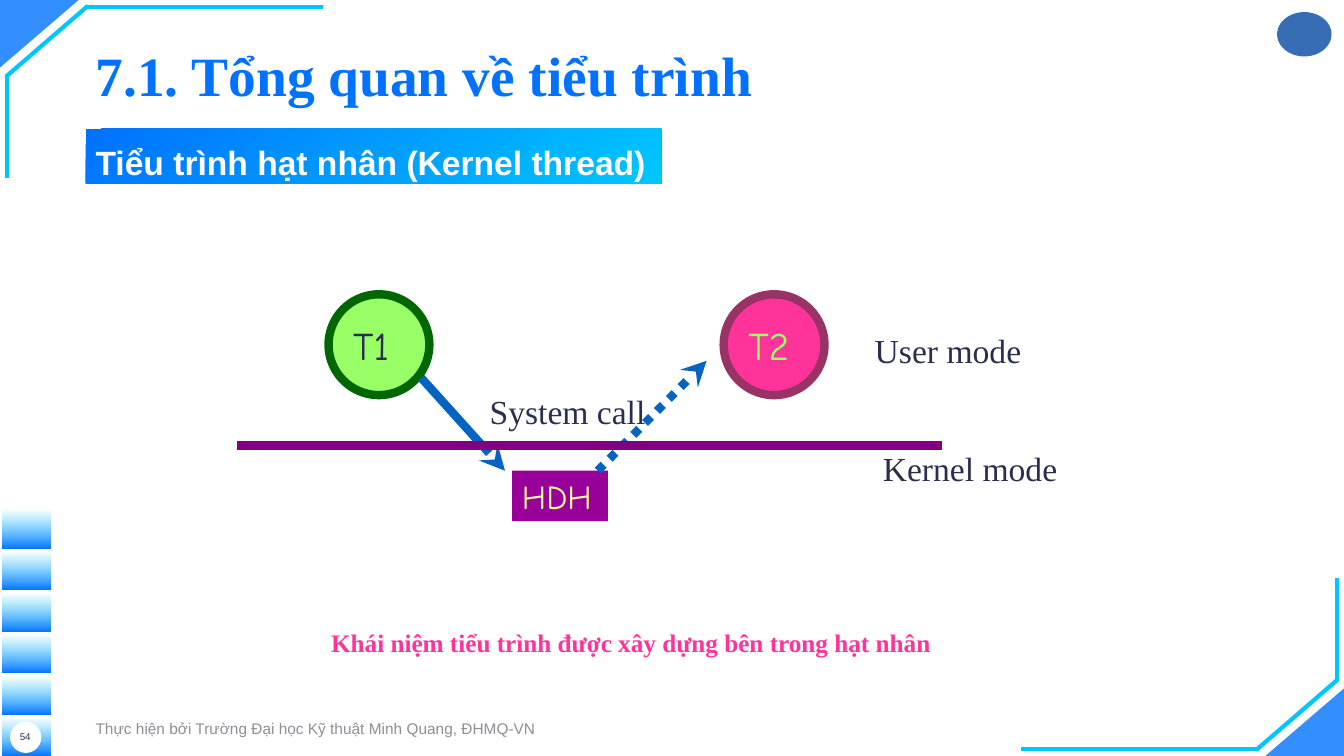
from collections import namedtuple

from lxml.etree import SubElement
from pptx import Presentation
from pptx.dml.color import RGBColor
from pptx.enum.dml import MSO_LINE
from pptx.enum.shapes import MSO_CONNECTOR, MSO_SHAPE
from pptx.enum.text import MSO_ANCHOR, MSO_AUTO_SIZE, PP_ALIGN
from pptx.oxml.ns import qn
from pptx.util import Inches, Pt

CELL = Inches(1) // 3
COLUMNS, ROWS = 40, 22.5

BLUE = RGBColor(0x00, 0x72, 0xFF)
CYAN = RGBColor(0x00, 0xC6, 0xFF)
ARROW_BLUE = RGBColor(0x05, 0x63, 0xC1)
EMBLEM_BLUE = RGBColor(0x37, 0x6D, 0xB5)
INK = RGBColor(0x2A, 0x2F, 0x4F)
GREY = RGBColor(0x8E, 0x8F, 0x97)
WHITE = RGBColor(0xFF, 0xFF, 0xFF)
PINK = RGBColor(0xFF, 0x33, 0x99)
PLUM = RGBColor(0x99, 0x33, 0x66)
LIME = RGBColor(0x99, 0xFF, 0x66)
GREEN = RGBColor(0x00, 0x66, 0x00)
MAGENTA = RGBColor(0x99, 0x00, 0x99)
PURPLE = RGBColor(0x80, 0x00, 0x80)
CREAM = RGBColor(0xFF, 0xFF, 0x99)

SERIF, SANS, HAND = "Times New Roman", "Arial", "Comic Neue"

Box = namedtuple("Box", "left top width height")


def inside(box, left, top, width, height):
    return Box(box.left + left, box.top + top, width, height)


def emu(cells):
    return round(cells * CELL)


def set_alpha(color_element, percent):
    SubElement(color_element, qn("a:alpha")).set("val", str(percent * 1000))


def paint_gradient(fill, angle):
    fill.gradient()
    fill.gradient_angle = angle
    for stop, color in zip(fill.gradient_stops, (BLUE, CYAN)):
        stop.color.rgb = color


def add_figure(slide, preset, box, color=None, outline=None):
    figure = slide.shapes.add_shape(preset, *map(emu, box))
    figure.shadow.inherit = False
    if color is not None:
        figure.fill.solid()
        figure.fill.fore_color.rgb = color
    if outline is None:
        figure.line.fill.background()
    else:
        figure.line.color.rgb = outline
        figure.line.width = Pt(6)
    return figure


def add_stroke(slide, box, start, end, color, width=6, arrow=False, dash=None):
    points = [emu(corner + offset) for point in (start, end)
              for corner, offset in zip((box.left, box.top), point)]
    stroke = slide.shapes.add_connector(MSO_CONNECTOR.STRAIGHT, *points)
    stroke.line.color.rgb = color
    stroke.line.width = Pt(width)
    if dash:
        stroke.line.dash_style = dash
    if arrow:
        SubElement(stroke.line._ln, qn("a:tailEnd")).set("type", "stealth")
    SubElement(stroke._element.spPr, qn("a:effectLst"))


def write(holder, text, size, font, color=None, bold=False, wrap=False,
          anchor=MSO_ANCHOR.TOP, grow=False, **paragraph_format):
    frame = holder.text_frame
    frame.word_wrap = wrap
    frame.vertical_anchor = anchor
    if grow:
        frame.auto_size = MSO_AUTO_SIZE.SHAPE_TO_FIT_TEXT
    paragraph = frame.paragraphs[0]
    for name, value in {"alignment": PP_ALIGN.LEFT, **paragraph_format}.items():
        setattr(paragraph, name, value)
    run = paragraph.add_run()
    run.text = text
    for name, value in {"size": Pt(size), "name": font, "bold": bold}.items():
        setattr(run.font, name, value)
    if color is None:
        paint_gradient(run.font.fill, 315)
    else:
        run.font.color.rgb = color


def add_label(slide, box, *content, **layout):
    write(slide.shapes.add_textbox(*map(emu, box)), *content, **layout)


def draw_corner(slide, box, mirrored=False):
    def place(x, y):
        return (box.width - x, box.height - y) if mirrored else (x, y)

    width, height = 2.34, 2.01
    left, top = place(width, height) if mirrored else (0, 0)
    wedge = add_figure(slide, MSO_SHAPE.ISOSCELES_TRIANGLE,
                       inside(box, left, top, width, height), BLUE)
    wedge.adjustments[0] = 1
    wedge.rotation = 0 if mirrored else 180
    set_alpha(wedge.fill._xPr.find(qn("a:solidFill"))[0], 80)
    for start, end in (((9.6, 0.2), (2.55, 0.2)),
                       ((2.61, 0.18), (0.18, 2.28)),
                       ((0.2, 5.3), (0.2, 2.22))):
        add_stroke(slide, box, place(*start), place(*end), CYAN, 3)


def draw_page_ladder(slide, box, number):
    steps, step_height = 6, 1.14
    pitch = (box.height - step_height) / (steps - 1)
    for index in range(steps):
        step = add_figure(slide, MSO_SHAPE.RECTANGLE,
                          inside(box, 0, index * pitch, box.width, step_height))
        paint_gradient(step.fill, 90)
        gradient = step.fill._xPr.find(qn("a:gradFill"))
        set_alpha(gradient.findall(qn("a:gsLst") + "/" + qn("a:gs"))[1][0], 0)
    bottom = box.height - step_height
    add_figure(slide, MSO_SHAPE.OVAL, inside(box, 0.24, bottom + 0.12, 0.93, 0.93), WHITE)
    add_label(slide, inside(box, 0.12, bottom, 1.14, 1.14), number, 7, SANS, INK,
              wrap=True, anchor=MSO_ANCHOR.MIDDLE, alignment=PP_ALIGN.CENTER)


def draw_header(slide, box, title, subtitle):
    spacing = {"line_spacing": 1.2, "space_before": Pt(2), "space_after": Pt(2)}
    add_label(slide, inside(box, 0, 0, box.width, 2.58), title, 39.6, SERIF,
              bold=True, wrap=True, anchor=MSO_ANCHOR.MIDDLE, **spacing)
    banner = add_figure(slide, MSO_SHAPE.RECTANGLE, inside(box, 0, 3.12, 17.13, 1.62))
    paint_gradient(banner.fill, 315)
    write(banner, subtitle, 24, SANS, WHITE, bold=True, grow=True, **spacing)


def draw_mode_switch(slide, box):
    for name, left, color, outline, ink in (("T1", 2.73, LIME, GREEN, INK),
                                            ("T2", 14.49, PINK, PLUM, LIME)):
        thread = add_figure(slide, MSO_SHAPE.OVAL, inside(box, left, 0, 3, 3), color, outline)
        write(thread, name, 28, HAND, ink, anchor=MSO_ANCHOR.MIDDLE)
    kernel = add_figure(slide, MSO_SHAPE.RECTANGLE,
                        inside(box, 8.19, 5.25, 2.85, 1.5), MAGENTA)
    write(kernel, "HDH", 24, HAND, CREAM, grow=True)
    add_stroke(slide, box, (5.49, 2.49), (7.98, 5.25), ARROW_BLUE, arrow=True)
    add_stroke(slide, box, (10.74, 5.25), (13.98, 1.98), ARROW_BLUE, arrow=True,
               dash=MSO_LINE.ROUND_DOT)
    for text, left, top, width in (("System call", 7.23, 2.73, 5.25),
                                   ("User mode", 18.69, 0.9, 4.98),
                                   ("Kernel mode", 18.93, 4.41, 5.82)):
        add_label(slide, inside(box, left, top, width, 1.5), text, 24, SERIF, INK, grow=True)
    add_stroke(slide, box, (0, 4.5), (21, 4.5), PURPLE)


def main():
    deck = Presentation()
    deck.slide_width, deck.slide_height = emu(COLUMNS), emu(ROWS)
    slide = deck.slides.add_slide(deck.slide_layouts[6])
    draw_corner(slide, Box(0, 0, 9.6, 5.3))
    draw_corner(slide, Box(COLUMNS - 9.6, ROWS - 5.3, 9.6, 5.3), mirrored=True)
    draw_page_ladder(slide, Box(0.06, 15.18, 1.44, 7.32), "54")
    add_figure(slide, MSO_SHAPE.OVAL, Box(38.01, 0.36, 1.62, 1.32), EMBLEM_BLUE)
    draw_header(slide, Box(2.55, 0.72, 34.71, 4.74), "7.1. Tổng quan về tiểu trình",
                "Tiểu trình hạt nhân (Kernel thread)")
    draw_mode_switch(slide, Box(7.05, 8.76, 24.75, 6.75))
    add_label(slide, Box(6.03, 18.51, 25.5, 2.76),
              "Khái niệm tiểu trình được xây dựng bên trong hạt nhân", 18, SERIF, PINK,
              bold=True, wrap=True, alignment=PP_ALIGN.CENTER, space_before=Pt(7.9))
    add_label(slide, Box(2.55, 21.24, 14.16, 0.87),
              "Thực hiện bởi Trường Đại học Kỹ thuật Minh Quang, ĐHMQ-VN", 11, SANS, GREY,
              wrap=True, anchor=MSO_ANCHOR.MIDDLE)
    deck.save("out.pptx")


if __name__ == "__main__":
    main()
